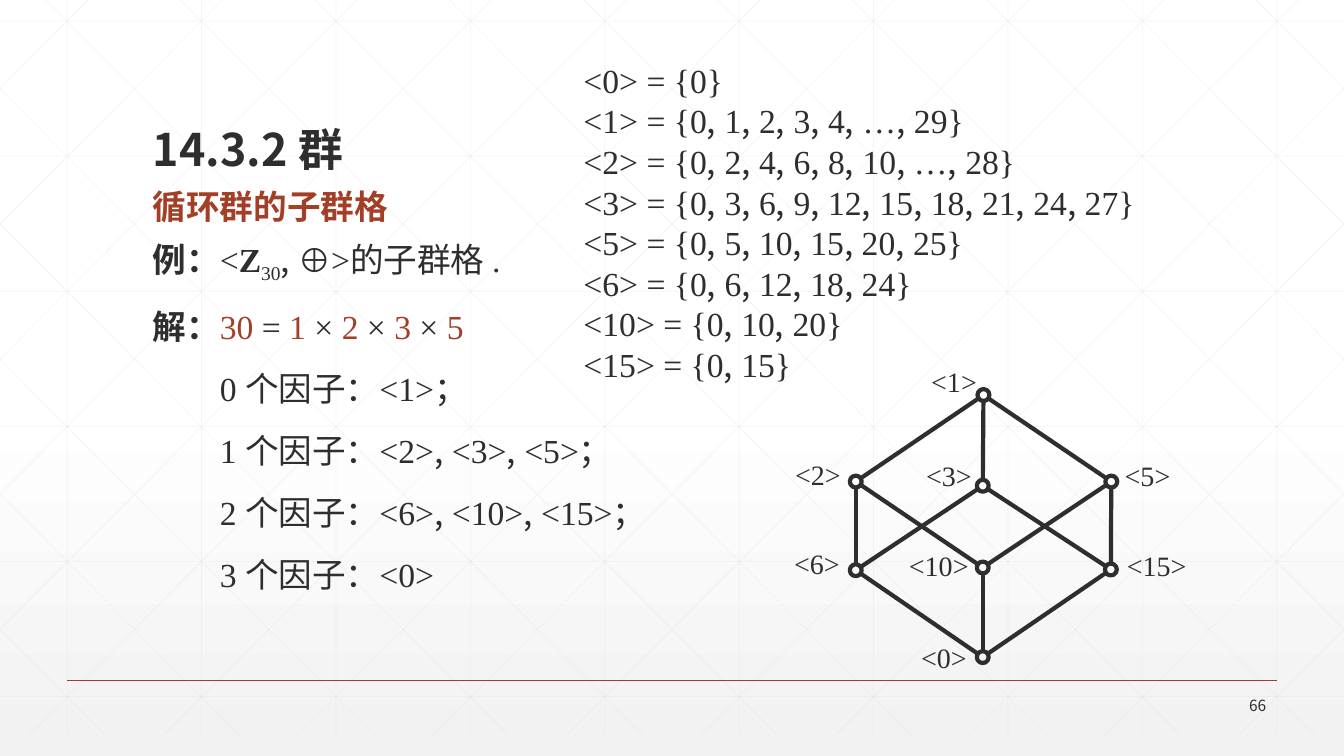
from copy import deepcopy
from dataclasses import dataclass
from math import hypot

from lxml.etree import SubElement
from pptx import Presentation
from pptx.dml.color import RGBColor
from pptx.enum.shapes import MSO_CONNECTOR, MSO_SHAPE
from pptx.enum.text import MSO_ANCHOR, MSO_AUTO_SIZE, PP_ALIGN
from pptx.oxml.ns import qn
from pptx.util import Pt

INK = RGBColor(0x2D, 0x2E, 0x2D)
RUST = RGBColor(0xA4, 0x3F, 0x27)
GRID = RGBColor(0xD9, 0xD9, 0xD9)
WHITE = RGBColor(0xFF, 0xFF, 0xFF)
PALE = RGBColor(0xF2, 0xF2, 0xF2)
SANS, SERIF = "Noto Sans CJK SC", "Times New Roman"
WIDTH, HEIGHT = 960, 540
NODE_RADIUS = 4.25
EDGE_GAP = 4


@dataclass
class Span:
    text: str
    font: str = SERIF
    color: RGBColor = INK
    bold: bool = False
    baseline: int = 0


@dataclass
class Line:
    spans: list[Span]
    before: float = 16.2
    indent: float = 0


@dataclass
class Node:
    x: float
    y: float
    label_x: float
    label_y: float


def style_run(r, span: Span, size: float, font: str) -> None:
    r.font.size, r.font.name, r.font.bold = Pt(size), font, span.bold
    r.font.color.rgb = span.color
    rpr = r.font._element
    SubElement(rpr, qn("a:ea")).set("typeface", SANS)
    if span.baseline:
        rpr.set("baseline", str(span.baseline))


def add_span(p, span: Span, size: float) -> None:
    """Add a span, with its commas in the sans font."""
    for i, piece in enumerate(span.text.split(",")):
        for text, font in ((",", SANS) if i else ("", SANS), (piece, span.font)):
            if text:
                r = p.add_run()
                r.text = text
                style_run(r, span, size, font)


def add_text(s, left: float, top: float, width: float, height: float,
             lines: list[Line], size: float, pitch: float | None = None, wrap: bool = True):
    tf = s.shapes.add_textbox(Pt(left), Pt(top), Pt(width), Pt(height)).text_frame
    tf.word_wrap = wrap
    for i, line in enumerate(lines):
        p = tf.add_paragraph() if i else tf.paragraphs[0]
        if pitch:
            p.line_spacing = Pt(pitch)
        p.space_before = Pt(line.before)
        if line.indent:
            p._p.get_or_add_pPr().set("marL", str(Pt(line.indent)))
        for span in line.spans:
            add_span(p, span, size)
    return tf


def add_line(s, x1: float, y1: float, x2: float, y2: float,
             color: RGBColor, weight: float, alpha: int = 100) -> None:
    c = s.shapes.add_connector(MSO_CONNECTOR.STRAIGHT, Pt(x1), Pt(y1), Pt(x2), Pt(y2))
    c.line.color.rgb, c.line.width = color, Pt(weight)
    if alpha < 100:
        rgb = c._element.spPr.find(".//" + qn("a:srgbClr"))
        SubElement(rgb, qn("a:alpha")).set("val", str(alpha * 1000))
    SubElement(c._element.spPr, qn("a:effectLst"))


def add_background(s) -> None:
    fill = s.background.fill
    fill.gradient()
    fill.gradient_angle = 270
    for stop, color in zip(fill.gradient_stops, (WHITE, PALE)):
        stop.color.rgb = color
    first = s.element.find(".//" + qn("a:gs"))
    middle = deepcopy(first)
    middle.set("pos", "53000")
    first.addnext(middle)


def add_grid(s) -> None:
    top, bottom, step, run = -15, 525, 96, 537
    slope = (bottom - top) / run
    lines = [(x, top, x, bottom) for x in range(48, WIDTH, step)]
    lines += [(0, 15 + 96.5 * i, WIDTH, 15 + 96.5 * i) for i in range(6)]
    for x in range(18 - 5 * step, WIDTH, step):
        x1, x2 = max(x, 0), min(x + run, WIDTH)
        y1, y2 = top + (x1 - x) * slope, top + (x2 - x) * slope
        lines += [(x1, y1, x2, y2), (WIDTH - x1, y1, WIDTH - x2, y2)]
    for ends in lines:
        add_line(s, *ends, GRID, 0.5, 25)


def add_title(s) -> None:
    sp = s.shapes.title
    sp.left, sp.top, sp.width, sp.height = Pt(102), Pt(39.6), Pt(756), Pt(90)
    sp.element.getparent().append(sp.element)
    tf = sp.text_frame
    tf.auto_size, tf.vertical_anchor = MSO_AUTO_SIZE.NONE, MSO_ANCHOR.BOTTOM
    p = tf.paragraphs[0]
    p.alignment, p.line_spacing = PP_ALIGN.LEFT, 0.9
    add_span(p, Span("14.3.2 群", SANS, bold=True), 32)


def add_lattice(s, nodes: dict[int, Node], edges: list[tuple[int, int]]) -> None:
    for start, end in edges:
        a, b = nodes[start], nodes[end]
        length = hypot(b.x - a.x, b.y - a.y)
        dx, dy = (b.x - a.x) * EDGE_GAP / length, (b.y - a.y) * EDGE_GAP / length
        add_line(s, a.x + dx, a.y + dy, b.x - dx, b.y - dy, INK, 3)
    for generator, n in nodes.items():
        sp = s.shapes.add_shape(MSO_SHAPE.OVAL, Pt(n.x - NODE_RADIUS), Pt(n.y - NODE_RADIUS),
                                Pt(2 * NODE_RADIUS), Pt(2 * NODE_RADIUS))
        sp.shadow.inherit = False
        sp.fill.background()
        sp.line.color.rgb, sp.line.width = INK, Pt(3)
        add_text(s, n.label_x, n.label_y, 57.6 if generator > 9 else 47.5, 31.7,
                 [Line([Span(f"<{generator}>")], 0)], 20, wrap=False)


FACTORS = ["<1>；", "<2>, <3>, <5>；", "<6>, <10>, <15>；", "<0>"]
PRODUCT = [Span(t, color=RUST if t.isdigit() else INK)
           for t in ("30", " = ", "1", " × ", "2", " × ", "3", " × ", "5")]
BODY = [
    Line([Span("循环群的子群格", SANS, RUST, True)], 0),
    Line([Span("例：", SANS, bold=True), Span("<"), Span("Z", bold=True),
          Span("30", baseline=-25000), Span(", ", SANS), Span("⊕>的子群格 .")], 13.4),
    Line([Span("解：", SANS, bold=True), *PRODUCT]),
    *(Line([Span(f"{i} 个因子：{groups}")], indent=48) for i, groups in enumerate(FACTORS)),
]
SUBGROUPS = [
    "<0> = {0}",
    "<1> = {0, 1, 2, 3, 4, …, 29}",
    "<2> = {0, 2, 4, 6, 8, 10, …, 28}",
    "<3> = {0, 3, 6, 9, 12, 15, 18, 21, 24, 27}",
    "<5> = {0, 5, 10, 15, 20, 25}",
    "<6> = {0, 6, 12, 18, 24}",
    "<10> = {0, 10, 20}",
    "<15> = {0, 15}",
]
NODES = {
    1: Node(702.5, 282.2, 658.1, 257),
    2: Node(611.3, 344, 560.9, 323.3),
    3: Node(702, 347, 654.5, 324),
    5: Node(793.8, 344, 796.3, 324),
    6: Node(611.3, 407.3, 560.2, 386.6),
    10: Node(702, 405.4, 642.2, 388.1),
    15: Node(793.5, 406.8, 797.8, 388.1),
    0: Node(702, 469.4, 650.9, 454.3),
}
# Each subgroup lies above those of prime index in it; <30> is <0>
EDGES = [(a, b % 30) for a in NODES if a for b in (2 * a, 3 * a, 5 * a) if 30 % b == 0]


def main() -> None:
    prs = Presentation()
    prs.slide_width, prs.slide_height = Pt(WIDTH), Pt(HEIGHT)
    s = prs.slides.add_slide(prs.slide_layouts[5])

    # Backdrop and footer
    add_background(s)
    add_grid(s)
    add_line(s, 48, 486, 912, 486, RUST, 1)
    tf = add_text(s, 839.5, 495.4, 72, 17.3, [Line([Span("66", SANS)], 0)], 11)
    tf.vertical_anchor = MSO_ANCHOR.MIDDLE
    tf.paragraphs[0].alignment = PP_ALIGN.RIGHT

    # Title, example and list of subgroups
    add_title(s)
    add_text(s, 102, 130.3, 756, 334.8, BODY, 24, 28)
    add_text(s, 409.7, 38.9, 480, 240, [Line([Span(t)], 0) for t in SUBGROUPS], 24, 29)

    # Subgroup lattice
    add_lattice(s, NODES, EDGES)
    prs.save("out.pptx")


if __name__ == "__main__":
    main()
